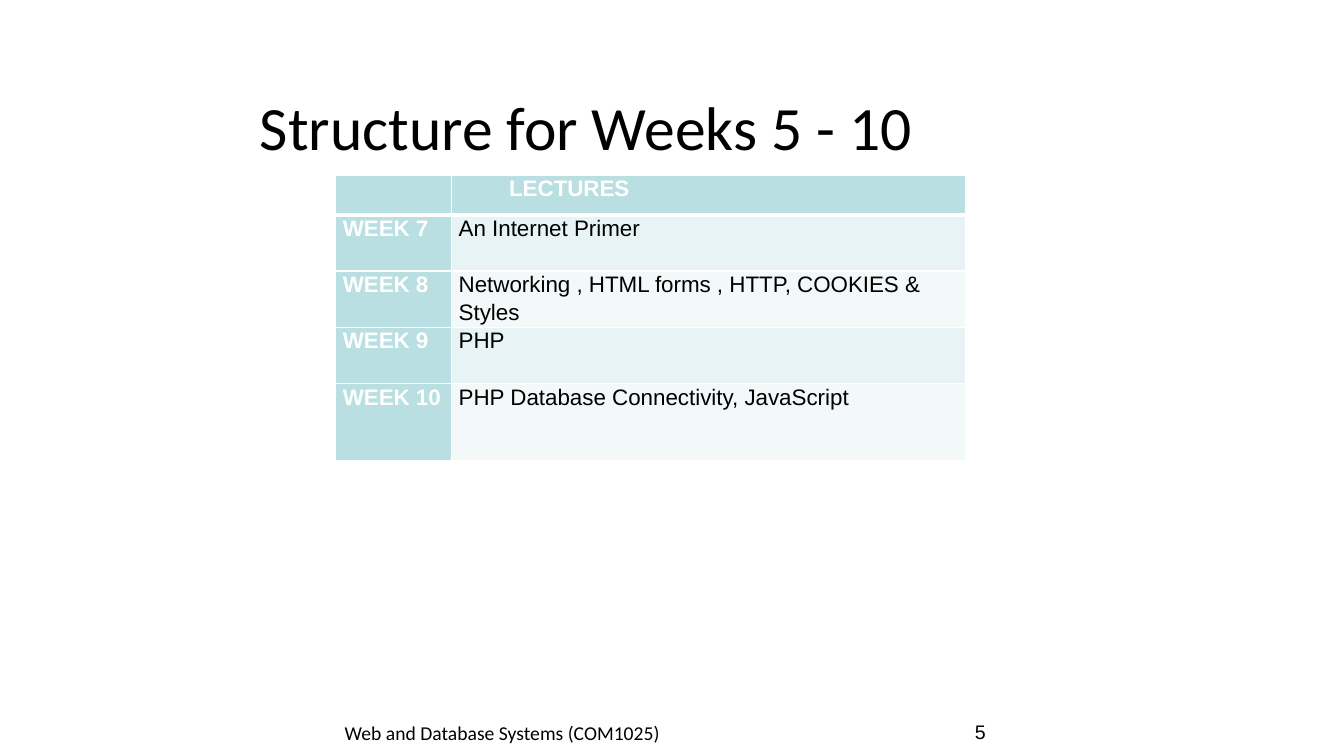
from lxml import etree
from pptx import Presentation
from pptx.dml.color import RGBColor
from pptx.enum.text import MSO_ANCHOR, PP_ALIGN
from pptx.oxml.ns import qn
from pptx.util import Cm, Pt

LEFT, CENTER, RIGHT = PP_ALIGN.LEFT, PP_ALIGN.CENTER, PP_ALIGN.RIGHT
MIDDLE, TOP = MSO_ANCHOR.MIDDLE, MSO_ANCHOR.TOP
BLACK = RGBColor(0x00, 0x00, 0x00)
WHITE = RGBColor(0xFF, 0xFF, 0xFF)
TEAL = RGBColor(0xBA, 0xDF, 0xE2)
BANDS = [RGBColor(0xE7, 0xF3, 0xF4), RGBColor(0xF3, 0xF8, 0xF9)]


def write_paragraph(paragraph, text, paragraph_format, font_format, color):
    run = paragraph.add_run()
    run.text = text
    for name, value in paragraph_format.items():
        setattr(paragraph, name, value)
    for name, value in font_format.items():
        setattr(run.font, name, value)
    run.font.color.rgb = color


def add_border(cell, side, width):
    line = etree.SubElement(cell._tc.get_or_add_tcPr(), qn(f"a:ln{side}"), w=str(Pt(width)))
    fill = etree.SubElement(line, qn("a:solidFill"))
    etree.SubElement(fill, qn("a:srgbClr"), val=str(WHITE))


presentation = Presentation()
presentation.slide_width = Cm(33.87)
presentation.slide_height = Cm(19.05)
slide = presentation.slides.add_slide(presentation.slide_layouts[5])

title = slide.shapes.title
footer = slide.shapes.add_textbox(Cm(8.66), Cm(18.24), Cm(8), Cm(0.56))
page_number = slide.shapes.add_textbox(Cm(23.85), Cm(18.11), Cm(0.99), Cm(0.64))
title_position = {"left": Cm(6.55), "top": Cm(1.57), "width": Cm(29.21), "height": Cm(2.54)}
for name, value in title_position.items():
    setattr(title, name, value)

texts = [
    (title, "Structure for Weeks 5 - 10", 0.66,
     {"alignment": LEFT, "space_before": Pt(1)},
     {"name": "Calibri", "size": Pt(44)}),
    (footer, "Web and Database Systems (COM1025)", 0,
     {"alignment": CENTER, "line_spacing": Pt(14.3)},
     {"name": "Calibri", "size": Pt(14)}),
    (page_number, "5", 0,
     {"alignment": RIGHT, "line_spacing": Pt(16.6)},
     {"name": "Arial", "size": Pt(14)}),
]
for shape, text, top_margin, paragraph_format, font_format in texts:
    frame_format = {
        "word_wrap": True, "vertical_anchor": MIDDLE, "margin_left": 0,
        "margin_right": 0, "margin_top": Cm(top_margin), "margin_bottom": 0,
    }
    for name, value in frame_format.items():
        setattr(shape.text_frame, name, value)
    write_paragraph(shape.text_frame.paragraphs[0], text, paragraph_format, font_format, BLACK)

schedule = [
    ("", ["LECTURES"], 0.99),
    ("WEEK 7", ["An Internet Primer"], 1.42),
    ("WEEK 8", ["Networking , HTML forms , HTTP, COOKIES &", "Styles"], 1.42),
    ("WEEK 9", ["PHP"], 1.42),
    ("WEEK 10", ["PHP Database Connectivity, JavaScript"], 1.93),
]
table = slide.shapes.add_table(
    len(schedule), 2, Cm(8.46), Cm(4.42), Cm(15.87), Cm(7.18)).table
for column, width in zip(table.columns, [2.92, 12.95]):
    column.width = Cm(width)

for row_index, (week, lectures, height) in enumerate(schedule):
    table.rows[row_index].height = Cm(height)
    is_header = row_index == 0
    for column_index, lines in enumerate([[week], lectures]):
        cell = table.cell(row_index, column_index)
        is_heading = is_header or column_index == 0
        cell_format = {
            "margin_left": Cm(1.45 if is_header else 0.18), "margin_right": 0,
            "margin_top": 0, "margin_bottom": 0, "vertical_anchor": TOP,
        }
        for name, value in cell_format.items():
            setattr(cell, name, value)
        border_widths = {
            "L": 1, "R": 1, "T": 3 if row_index == 1 else 1, "B": 3 if is_header else 1,
        }
        for side, width in border_widths.items():
            add_border(cell, side, width)
        cell.fill.solid()
        cell.fill.fore_color.rgb = TEAL if is_heading else BANDS[(row_index - 1) % 2]
        for line_index, text in enumerate(lines):
            if not text:
                continue
            frame = cell.text_frame
            paragraph = frame.add_paragraph() if line_index else frame.paragraphs[0]
            write_paragraph(
                paragraph, text,
                {"alignment": LEFT, "line_spacing": Pt(19 if line_index else 18.6),
                 "space_before": Pt(1.4 if line_index else 0)},
                {"name": "Arial", "size": Pt(16), "bold": is_heading},
                WHITE if is_heading else BLACK)

presentation.save("out.pptx")
